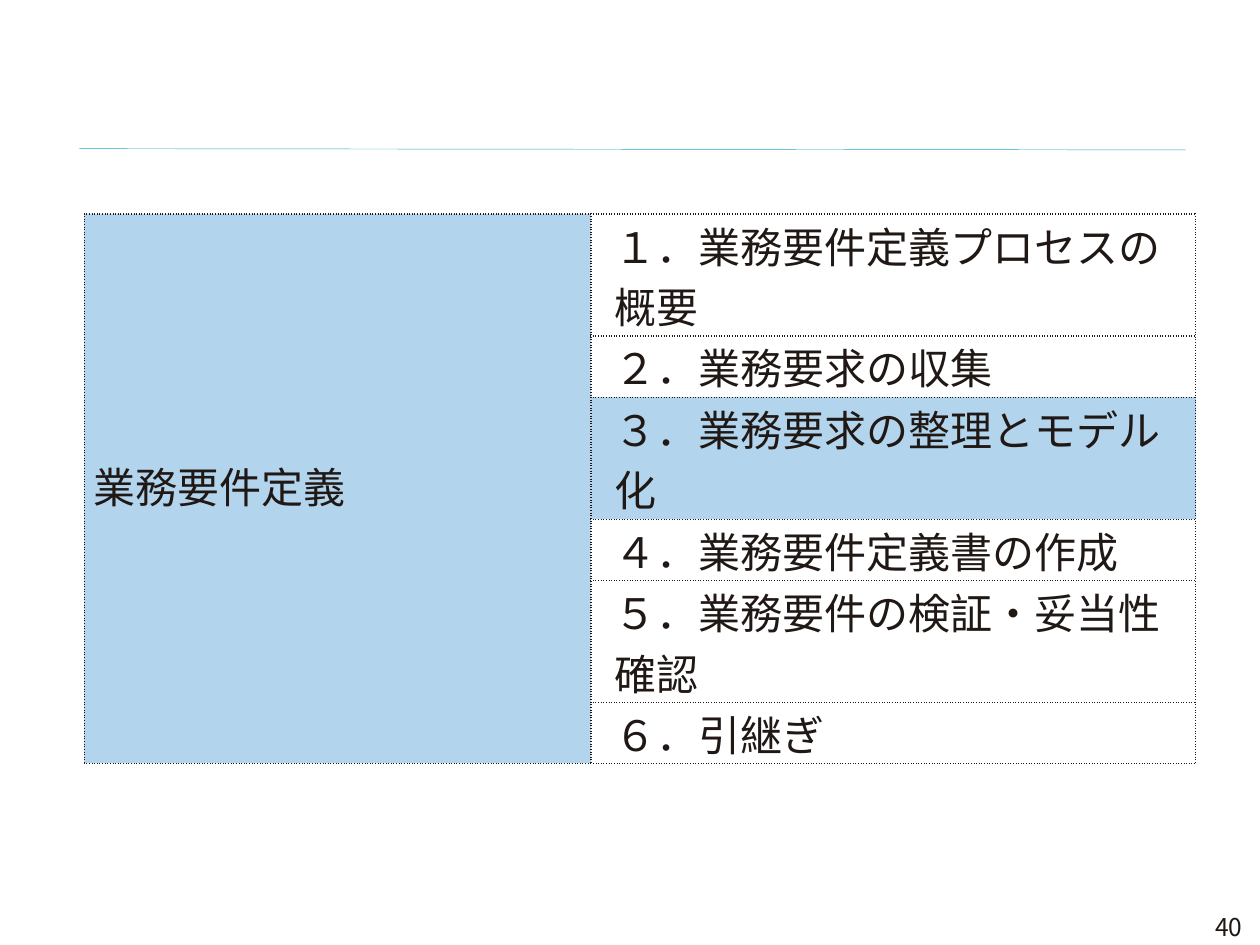
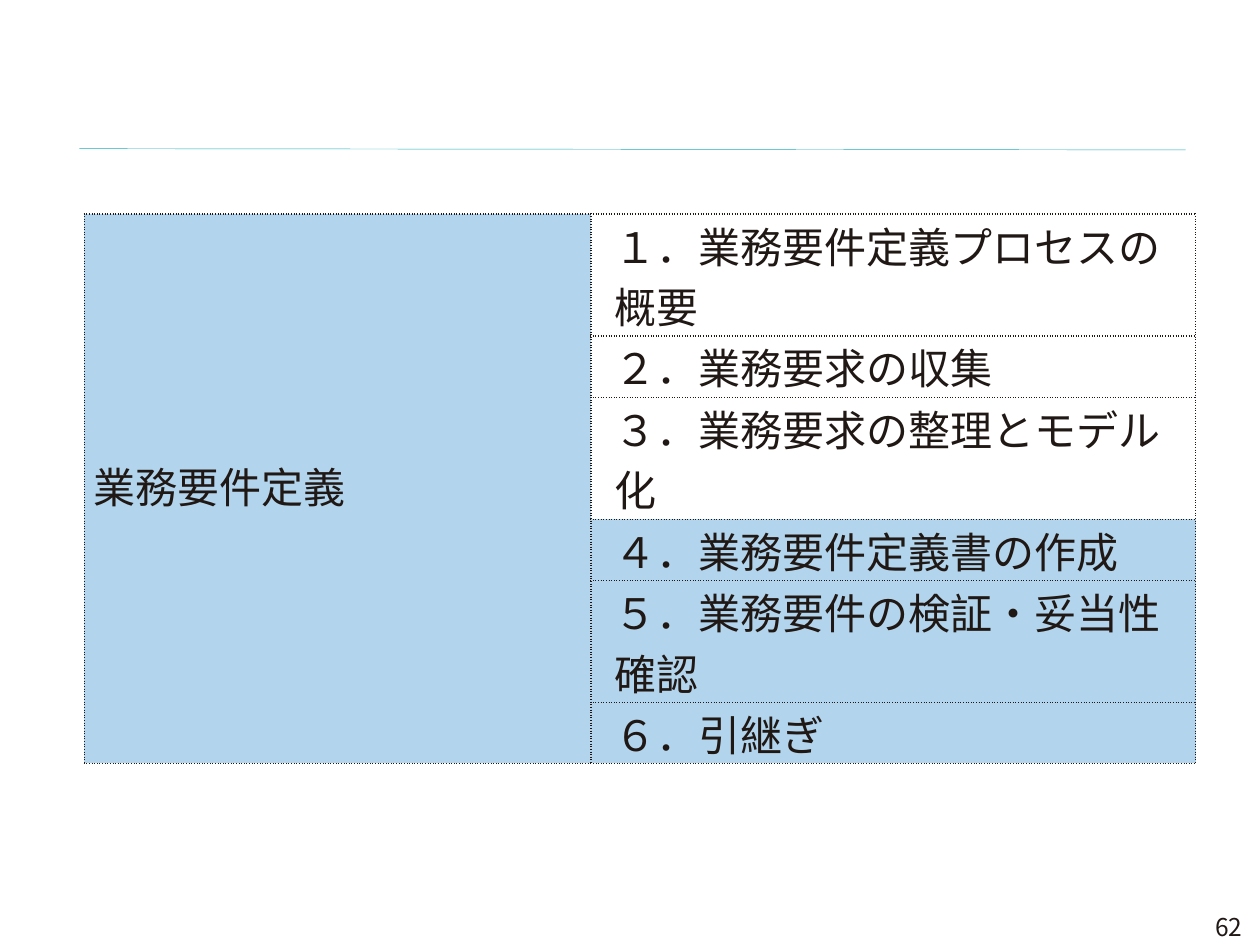
from lxml import etree
from pptx import Presentation
from pptx import util as u
from pptx.dml import color as col
from pptx.enum import shapes, text
from pptx.oxml import ns

FONT = "Noto Sans CJK JP"
INK, RULE, LIT, PLAIN = "201815", "1BADBD", "B2D5ED", "FFFFFF"
HEAD = " 業務要件定義"
# each step and the number of lines it takes
STEPS = [
    ("１．業務要件定義プロセスの概要", 2),
    ("２．業務要求の収集", 1),
    ("３．業務要求の整理とモデル化", 2),
    ("４．業務要件定義書の作成", 1),
    ("５．業務要件の検証・妥当性確認", 2),
    ("６．引継ぎ", 1),
]
TALL = u.Inches(4.36)
PITCH = TALL // sum(lines for _, lines in STEPS)
# page number and the fill of each step
PAGES = [
    ("40", [None, None, LIT, PLAIN, PLAIN, PLAIN]),
    ("62", [None, None, PLAIN, LIT, LIT, LIT]),
]


def rgb(code):
    return col.RGBColor.from_string(code)


def sub(node, tag, **attrs):
    return etree.SubElement(node, ns.qn(tag), attrs)


def write(frame, words, size=24, align=None, left=0, first=0, lines=None, before=None):
    """Fill a text frame; left and first are indents in inches, before is a percentage."""
    frame.word_wrap = True
    para = frame.paragraphs[0]
    run = para.add_run()
    run.text = words
    font = run.font
    font.size, font.name = u.Pt(size), FONT
    font.color.rgb = rgb(INK)
    sub(font._element, "a:ea", typeface=FONT)
    if align is not None:
        para.alignment = align
    if lines:
        para.line_spacing = lines
    props = para._p.get_or_add_pPr()
    props.set("marL", str(u.Inches(left)))
    props.set("indent", str(u.Inches(first)))
    if before:
        sub(sub(props, "a:spcBef"), "a:spcPct", val=str(before * 1000))


def border(cell):
    props = cell._tc.get_or_add_tcPr()
    for side in "LRTB":
        line = sub(props, "a:ln" + side, w=str(u.Pt(1)))
        sub(sub(line, "a:solidFill"), "a:srgbClr", val=INK)
        sub(line, "a:prstDash", val="sysDot")


def style(cell, fill):
    cell.margin_left = cell.margin_right = 0
    cell.margin_top = cell.margin_bottom = 0
    cell.vertical_anchor = text.MSO_ANCHOR.MIDDLE
    border(cell)
    if fill:
        cell.fill.solid()
        cell.fill.fore_color.rgb = rgb(fill)
    else:
        cell.fill.background()


def rule(slide):
    line = slide.shapes.add_connector(
        shapes.MSO_CONNECTOR.STRAIGHT,
        u.Inches(0.63), u.Inches(1.18), u.Inches(9.41), u.Inches(1.19))
    line.line.color.rgb = rgb(RULE)
    line.line.width = u.Pt(0.25)
    sub(line._element.spPr, "a:effectLst")


def number(slide, page):
    box = slide.shapes.add_textbox(
        u.Inches(8.57), u.Inches(7.2), u.Inches(1.39), u.Inches(0.31))
    box.text_frame.vertical_anchor = text.MSO_ANCHOR.MIDDLE
    write(box.text_frame, page, size=14, align=text.PP_ALIGN.RIGHT)


def agenda(slide, fills):
    table = slide.shapes.add_table(
        len(STEPS), 2, u.Inches(0.67), u.Inches(1.7), u.Inches(8.82), TALL).table
    table.first_row = table.horz_banding = False
    for column, width in zip(table.columns, (4.02, 4.8)):
        column.width = u.Inches(width)
    for index, ((step, lines), fill) in enumerate(zip(STEPS, fills)):
        table.rows[index].height = PITCH * lines
        style(table.cell(index, 0), LIT)
        cell = table.cell(index, 1)
        style(cell, fill)
        write(cell.text_frame, step, left=0.19)
    head = table.cell(0, 0)
    head.merge(table.cell(len(STEPS) - 1, 0))
    write(head.text_frame, HEAD, left=0.11, first=-0.11, lines=0.8, before=30)


def main():
    deck = Presentation()
    deck.slide_width, deck.slide_height = u.Inches(10), u.Inches(7.5)
    for page, fills in PAGES:
        slide = deck.slides.add_slide(deck.slide_layouts[6])
        rule(slide)
        number(slide, page)
        agenda(slide, fills)
    deck.save("out.pptx")


if __name__ == "__main__":
    main()
